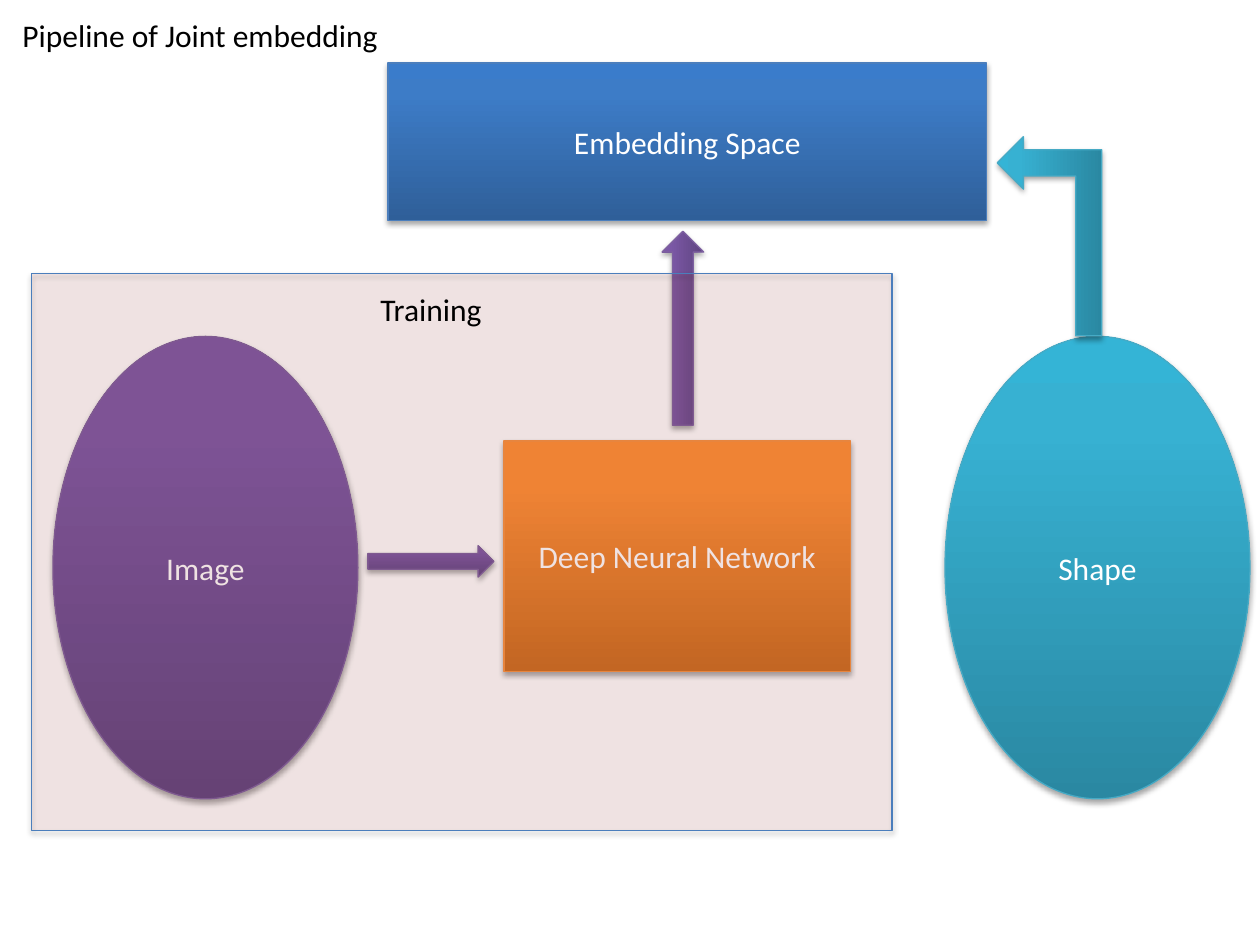
from copy import deepcopy
from dataclasses import dataclass

from lxml import etree
from pptx import Presentation
from pptx.dml.color import RGBColor
from pptx.enum.shapes import MSO_SHAPE
from pptx.enum.text import MSO_ANCHOR, MSO_AUTO_SIZE, PP_ALIGN
from pptx.oxml import parse_xml
from pptx.oxml.ns import qn
from pptx.shapes.autoshape import Shape
from pptx.slide import Slide
from pptx.text.text import TextFrame
from pptx.util import Inches, Pt

RECTANGLE = MSO_SHAPE.RECTANGLE
OVAL = MSO_SHAPE.OVAL
RIGHT_ARROW = MSO_SHAPE.RIGHT_ARROW
BENT_UP_ARROW = MSO_SHAPE.BENT_UP_ARROW
MIDDLE = MSO_ANCHOR.MIDDLE
CENTER = PP_ALIGN.CENTER
FIT_SHAPE = MSO_AUTO_SIZE.SHAPE_TO_FIT_TEXT

STOP_POSITIONS = (0, 0.8, 1)
SHADOW_XML = (
    '<a:outerShdw xmlns:a="http://schemas.openxmlformats.org/drawingml/2006/main" '
    'blurRad="40000" dist="23000" dir="5400000" rotWithShape="0">'
    '<a:srgbClr val="000000"><a:alpha val="35000"/></a:srgbClr></a:outerShdw>'
)


@dataclass(frozen=True)
class Palette:
    line: str
    stops: tuple[str, str, str]


@dataclass(frozen=True)
class Block:
    kind: MSO_SHAPE
    box: tuple[float, float, float, float]
    palette: Palette
    text: str = ""
    rotation: int = 0


@dataclass(frozen=True)
class Label:
    text: str
    box: tuple[float, float, float, float]


ORANGE = Palette("F69240", ("CC6E20", "FF9034", "FF9136"))
PURPLE = Palette("7D60A0", ("5F4480", "7B58A6", "7C57A8"))
TEAL = Palette("46AAC5", ("2A88A2", "37B1D2", "34B4D6"))
BLUE = Palette("4B7EBC", ("2F5F99", "3D7CC7", "3A7CCB"))

BLOCKS = (
    Block(RECTANGLE, (4, 3.5, 2.75, 1.83), ORANGE, "Deep Neural Network"),
    Block(OVAL, (0.42, 2.67, 2.42, 3.67), PURPLE, "Image"),
    Block(OVAL, (7.5, 2.67, 2.42, 3.67), TEAL, "Shape"),
    Block(RECTANGLE, (3.08, 0.5, 4.75, 1.25), BLUE, "Embedding Space"),
    Block(BENT_UP_ARROW, (7.54, 1.46, 1.58, 0.83), TEAL, rotation=270),
    Block(RIGHT_ARROW, (2.92, 4.33, 1, 0.25), PURPLE),
    Block(RIGHT_ARROW, (4.65, 2.44, 1.54, 0.33), PURPLE, rotation=270),
)
TRAINING_BOX = (0.25, 2.17, 6.83, 4.42)
LABELS = (
    Label("Training", (2.92, 2.25, 1.03, 0.4)),
    Label("Pipeline of Joint embedding", (0.08, 0.08, 3.05, 0.4)),
)


def color(value: str) -> RGBColor:
    """Turn a hex string into a colour."""
    return RGBColor.from_string(value)


def write_text(frame: TextFrame, text: str, text_color: str) -> None:
    """Write one line of text in the slide's font."""
    paragraph = frame.paragraphs[0]
    paragraph.text = text
    paragraph.font.name = "Calibri"
    paragraph.font.size = Pt(18)
    paragraph.font.color.rgb = color(text_color)


def add_outlined_shape(
    slide: Slide, kind: MSO_SHAPE, box: tuple[float, float, float, float], line: str
) -> Shape:
    """Add a shape with a thin outline and a soft shadow below it."""
    shape = slide.shapes.add_shape(kind, *map(Inches, box))
    shape.line.color.rgb = color(line)
    shape.line.width = Pt(0.75)
    shape.shadow.inherit = False
    shape.element.spPr.find(qn("a:effectLst")).append(parse_xml(SHADOW_XML))
    return shape


def fill_gradient(shape: Shape, stop_colors: tuple[str, str, str]) -> None:
    """Fill a shape with a three-stop gradient that starts at its bottom."""
    shape.fill.gradient()
    shape.fill.gradient_angle = 90
    stop_list = shape.element.spPr.find(".//" + qn("a:gsLst"))
    stop_list.append(deepcopy(stop_list[-1]))
    for stop, position, value in zip(
        shape.fill.gradient_stops, STOP_POSITIONS, stop_colors
    ):
        stop.position = position
        stop.color.rgb = color(value)


def add_block(slide: Slide, block: Block) -> None:
    """Add one stage or arrow of the pipeline."""
    shape = add_outlined_shape(slide, block.kind, block.box, block.palette.line)
    fill_gradient(shape, block.palette.stops)
    shape.rotation = block.rotation
    if block.text:
        shape.text_frame.vertical_anchor = MIDDLE
        write_text(shape.text_frame, block.text, "FFFFFF")
        shape.text_frame.paragraphs[0].alignment = CENTER


def add_training_panel(slide: Slide) -> None:
    """Add the translucent panel over the training stages."""
    panel = add_outlined_shape(slide, RECTANGLE, TRAINING_BOX, BLUE.line)
    panel.fill.solid()
    panel.fill.fore_color.rgb = color("C0504D")
    fill_color = panel.element.spPr.find(qn("a:solidFill"))[0]
    etree.SubElement(fill_color, qn("a:alpha"), val="11000")


def add_label(slide: Slide, label: Label) -> None:
    """Add a caption that does not wrap."""
    frame = slide.shapes.add_textbox(*map(Inches, label.box)).text_frame
    frame.word_wrap = False
    frame.auto_size = FIT_SHAPE
    write_text(frame, label.text, "000000")


def main() -> None:
    """Build the slide and save it."""
    presentation = Presentation()
    presentation.slide_width = Inches(10)
    presentation.slide_height = Inches(7.5)
    slide = presentation.slides.add_slide(presentation.slide_layouts[6])
    for block in BLOCKS:
        add_block(slide, block)
    add_training_panel(slide)
    for label in LABELS:
        add_label(slide, label)
    presentation.save("out.pptx")


if __name__ == "__main__":
    main()
